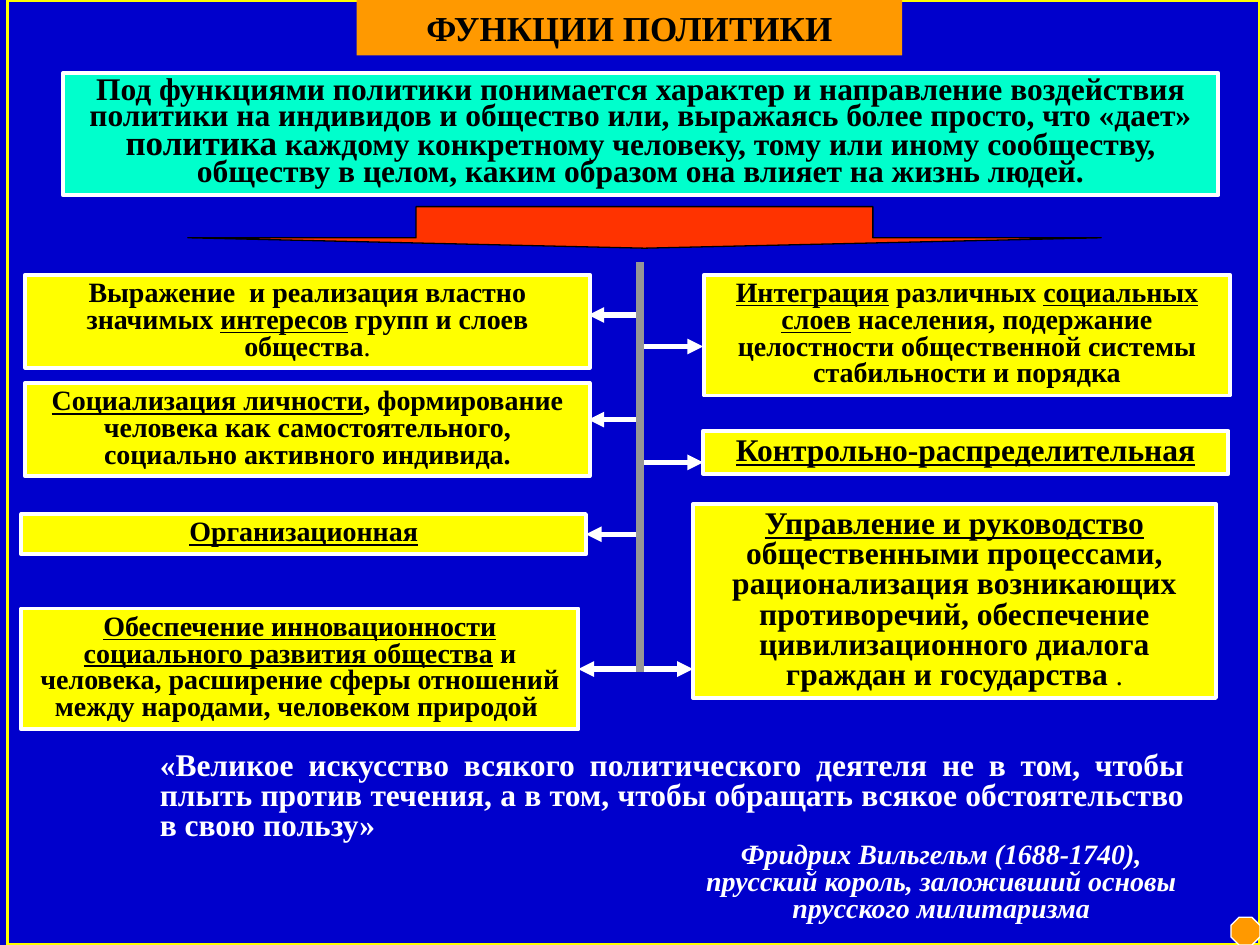
from lxml.etree import SubElement
from pptx import Presentation
from pptx.dml.color import RGBColor
from pptx.enum.shapes import MSO_CONNECTOR, MSO_SHAPE
from pptx.enum.text import MSO_ANCHOR, PP_ALIGN
from pptx.oxml.ns import qn
from pptx.util import Inches, Pt

BLUE = RGBColor(0x00, 0x00, 0xCC)
YELLOW = RGBColor(0xFF, 0xFF, 0x00)
ORANGE = RGBColor(0xFF, 0x99, 0x00)
RED = RGBColor(0xFF, 0x33, 0x00)
AQUA = RGBColor(0x00, 0xFF, 0xCC)
GRAY = RGBColor(0x96, 0x96, 0x96)
BLACK = RGBColor(0x00, 0x00, 0x00)
WHITE = RGBColor(0xFF, 0xFF, 0xFF)


def write(p, text, size=16, color=BLACK, bold=True, italic=False,
          align=PP_ALIGN.CENTER, spacing=0.8):
    """Add text to a paragraph; parts between underscores are underlined."""
    p.alignment, p.line_spacing = align, spacing
    for i, part in enumerate(text.split("_")):
        if part:
            r = p.add_run()
            r.text = part
            r.font.name, r.font.size = "Times New Roman", Pt(size)
            r.font.bold, r.font.italic = bold, italic
            r.font.underline = i % 2 == 1
            r.font.color.rgb = color


def add_box(kind, at, fill, line, width):
    sp = s.shapes.add_shape(kind, *[Inches(v) for v in at])
    sp.shadow.inherit = False
    if fill is None:
        sp.fill.background()
    else:
        sp.fill.solid()
        sp.fill.fore_color.rgb = fill
    sp.line.color.rgb, sp.line.width = line, Pt(width)
    sp.text_frame.word_wrap = True
    sp.text_frame.vertical_anchor = MSO_ANCHOR.TOP
    return sp


prs = Presentation()
prs.slide_width, prs.slide_height = Inches(10), Inches(7.5)
s = prs.slides.add_slide(prs.slide_layouts[5])
s.background.fill.solid()
s.background.fill.fore_color.rgb = BLUE

# Frame and corner mark
add_box(MSO_SHAPE.RECTANGLE, (0.06, 0, 9.94, 7.5), None, YELLOW, 2.25)
corner = add_box(MSO_SHAPE.OCTAGON, (9.77, 7.28, 0.23, 0.22), ORANGE, WHITE, 0.75)
corner.adjustments[0] = 0.29

# Title, placed above the frame
title = s.shapes.title
s.shapes._spTree.append(title._element)
title.left, title.top = Inches(2.83), Inches(0)
title.width, title.height = Inches(4.33), Inches(0.44)
title.fill.solid()
title.fill.fore_color.rgb = ORANGE
title.text_frame.vertical_anchor = MSO_ANCHOR.MIDDLE
write(title.text_frame.paragraphs[0], "ФУНКЦИИ ПОЛИТИКИ", size=20, spacing=1.0)

# Definition and the arrow below it
definition = add_box(MSO_SHAPE.RECTANGLE, (0.5, 0.58, 9.17, 0.97), AQUA, WHITE, 2.25)
p = definition.text_frame.paragraphs[0]
for text, size in [
    ("Под функциями политики понимается характер и направление воздействия политики "
     "на индивидов и общество или, выражаясь более просто, что «дает» ", 18),
    ("политика", 20),
    (" каждому конкретному человеку, тому или иному сообществу, обществу в целом, "
     "каким образом она влияет на жизнь людей.", 18),
]:
    write(p, text, size=size, spacing=0.7)
down = add_box(MSO_SHAPE.DOWN_ARROW, (1.49, 1.64, 7.25, 0.33), RED, BLACK, 0.75)
down.adjustments[0], down.adjustments[1] = 0.5, 0.25

# Functions: position, size, text, closing mark that is not bold
functions = [
    ((0.2, 2.18, 4.48, 0.74), 16,
     "Выражение  и реализация властно значимых _интересов_ групп и слоев общества", "."),
    ((0.2, 3.04, 4.48, 0.74), 16,
     "_Социализация личности_, формирование человека как самостоятельного, "
     "социально активного индивида.", ""),
    ((0.17, 4.08, 4.48, 0.32), 16, "_Организационная_", ""),
    ((0.17, 4.83, 4.42, 0.96), 16,
     "_Обеспечение инновационности социального развития общества_ и человека, "
     "расширение сферы отношений между народами, человеком природой ", ""),
    ((5.59, 2.18, 4.17, 0.96), 16,
     "_Интеграция_ различных _социальных слоев_ населения, подержание целостности "
     "общественной системы стабильности и порядка", ""),
    ((5.58, 3.42, 4.17, 0.34), 18, "_Контрольно-распределительная_", ""),
    ((5.5, 4, 4.15, 1.54), 18,
     "_Управление и руководство_ общественными процессами, рационализация возникающих "
     "противоречий, обеспечение цивилизационного диалога граждан и государства ", "."),
]
boxes = []
for at, size, text, mark in functions:
    sp = add_box(MSO_SHAPE.RECTANGLE, at, YELLOW, WHITE, 2.25)
    p = sp.text_frame.paragraphs[0]
    write(p, text, size=size)
    write(p, mark, bold=False)
    boxes.append(sp)
organizing, innovation = boxes[2:4]

# Arrows and trunk: start, end, colour, width, arrowheads, joined boxes
AXIS = 5.08
lines = [
    ((AXIS, 2.75), (5.58, 2.75), WHITE, 3, ["tailEnd"], None, None),
    ((AXIS, 3.67), (5.58, 3.67), WHITE, 3, ["tailEnd"], None, None),
    ((AXIS, 2.5), (4.67, 2.5), WHITE, 3, ["tailEnd"], None, None),
    ((AXIS, 3.33), (4.67, 3.33), WHITE, 3, ["tailEnd"], None, None),
    ((AXIS, 4.24), (4.65, 4.24), WHITE, 3, ["tailEnd"], None, organizing),
    ((4.59, 5.31), (5.5, 5.31), WHITE, 3, ["headEnd", "tailEnd"], innovation, None),
    ((AXIS, 2.08), (AXIS, 5.33), GRAY, 4.5, [], None, None),
]
for start, end, color, width, heads, begin_box, end_box in lines:
    c = s.shapes.add_connector(MSO_CONNECTOR.STRAIGHT,
                               *[Inches(v) for v in start + end])
    if begin_box:
        c.begin_connect(begin_box, 3)
    if end_box:
        c.end_connect(end_box, 3)
    c.line.color.rgb, c.line.width = color, Pt(width)
    for head in heads:
        SubElement(c.line._get_or_add_ln(), qn("a:" + head), type="triangle")
    SubElement(c._element.spPr, qn("a:effectLst"))

# Quotation and its author
quote = s.shapes.add_textbox(Inches(1.17), Inches(5.92), Inches(8.33), Inches(1.49))
tf = quote.text_frame
tf.word_wrap = True
write(tf.paragraphs[0],
      "«Великое искусство всякого политического деятеля не в том, чтобы плыть против "
      "течения, а в том, чтобы обращать всякое обстоятельство в свою пользу»",
      size=18, color=WHITE, align=PP_ALIGN.JUSTIFY)
for text in ["Фридрих Вильгельм (1688-1740),",
             "прусский король, заложивший основы",
             "прусского милитаризма"]:
    p = tf.add_paragraph()
    p._p.get_or_add_pPr().set("marL", str(Inches(4.27)))
    write(p, text, color=WHITE, italic=True)

prs.save("out.pptx")
